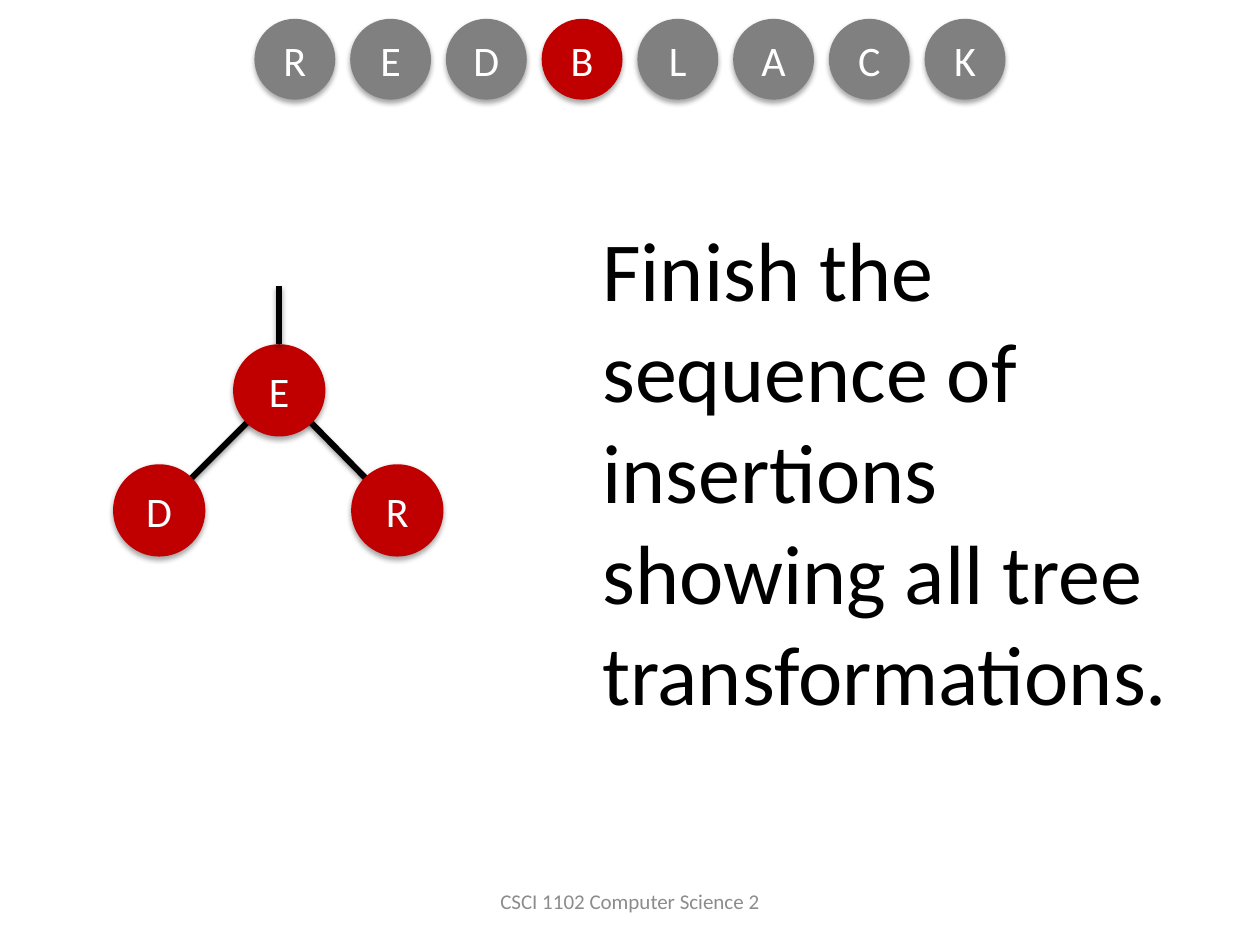
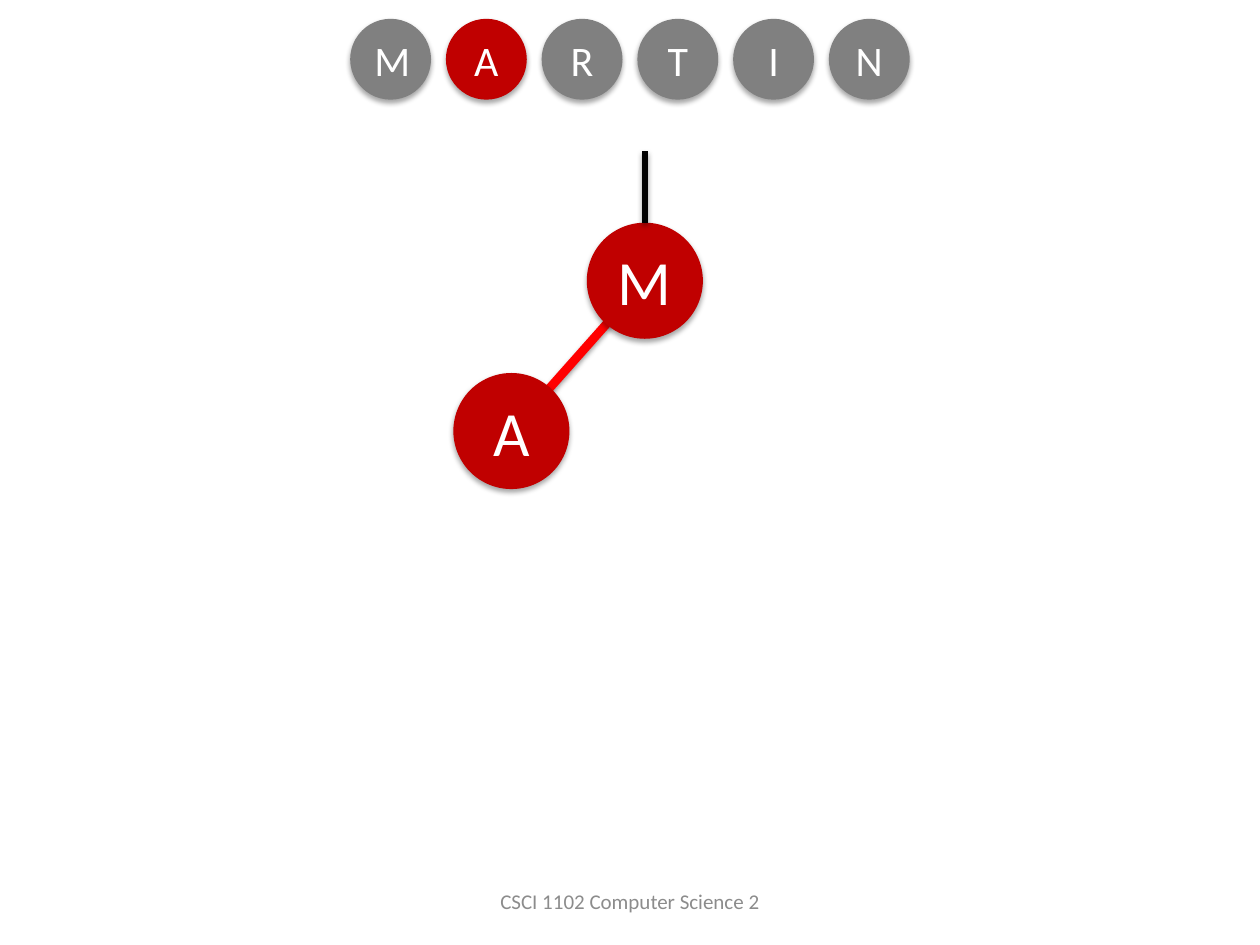
from lxml import etree
from pptx import Presentation
from pptx.dml.color import RGBColor
from pptx.enum.shapes import MSO_CONNECTOR, MSO_SHAPE
from pptx.enum.text import MSO_ANCHOR, PP_ALIGN
from pptx.oxml import parse_xml
from pptx.oxml.ns import nsdecls
from pptx.util import Cm, Pt

RED = RGBColor(0xC0, 0x00, 0x00)
BRIGHT_RED = RGBColor(0xFF, 0x00, 0x00)
GREY = RGBColor(0x80, 0x80, 0x80)
FOOTER_GREY = RGBColor(0x8C, 0x8C, 0x8C)
BLACK = RGBColor(0x00, 0x00, 0x00)
WHITE = RGBColor(0xFF, 0xFF, 0xFF)

WIDTH = 25.4
LETTER_D, LETTER_PITCH, LETTER_TOP = 1.63, 1.93, 0.38

# Node centres, and edges as (parent, child), in cm
SLIDES = [
    {"word": "REDBLACK", "current": 3, "root": "E", "stem_top": 5.77,
     "nodes": {"E": (5.63, 7.87), "D": (3.21, 10.29), "R": (8.01, 10.29)},
     "edges": ["ER", "ED"], "edge_color": BLACK, "edge_width": 3.5,
     "diameter": 1.86, "size": 24,
     "task": "Finish the sequence of insertions showing all tree transformations."},
    {"word": "MARTIN", "current": 1, "root": "M", "stem_top": 3.05,
     "nodes": {"M": (13, 5.66), "A": (10.31, 8.69)},
     "edges": ["MA"], "edge_color": BRIGHT_RED, "edge_width": 5,
     "diameter": 2.34, "size": 36, "task": None},
]


def add_text(sp, text, size, color, align, anchor):
    tf = sp.text_frame
    tf.word_wrap = True
    tf.vertical_anchor = anchor
    p = tf.paragraphs[0]
    p.alignment = align
    r = p.add_run()
    r.text = text
    for name, value in {"name": "Calibri", "size": Pt(size)}.items():
        setattr(r.font, name, value)
    r.font.color.rgb = color


def add_shadow(sp, distance, alpha):
    sp_pr = sp._element.spPr
    sp_pr.append(parse_xml(
        f'<a:effectLst {nsdecls("a")}><a:outerShdw blurRad="{Pt(3.1)}" '
        f'dist="{Pt(distance)}" dir="5400000" rotWithShape="0">'
        f'<a:srgbClr val="000000"><a:alpha val="{alpha * 1000}"/></a:srgbClr>'
        '</a:outerShdw></a:effectLst>'))


prs = Presentation()
prs.slide_width, prs.slide_height = Cm(WIDTH), Cm(19.05)

for spec_data in SLIDES:
    s = prs.slides.add_slide(prs.slide_layouts[6])
    nodes, d = spec_data["nodes"], spec_data["diameter"]
    root = spec_data["root"]
    word = spec_data["word"]

    # Footer
    sp = s.shapes.add_textbox(Cm(8.68), Cm(17.66), Cm(8.04), Cm(1.01))
    add_text(sp, "CSCI 1102 Computer Science 2", 12, FOOTER_GREY,
             PP_ALIGN.CENTER, MSO_ANCHOR.MIDDLE)

    # Tree edges, from centre to centre behind the nodes
    tree = s.shapes.add_group_shape()
    lines = []
    for parent, child in spec_data["edges"]:
        ends = [Cm(v) for v in nodes[parent] + nodes[child]]
        line = tree.shapes.add_connector(MSO_CONNECTOR.STRAIGHT, *ends)
        lines.append((line, spec_data["edge_color"], spec_data["edge_width"]))

    # Circles: tree nodes, then the row of letters to insert
    circles = [(tree, letter, x - d / 2, y - d / 2, d, spec_data["size"], RED)
               for letter, (x, y) in nodes.items()]
    row = s.shapes.add_group_shape()
    left = (WIDTH - (len(word) - 1) * LETTER_PITCH - LETTER_D) / 2
    for i, letter in enumerate(word):
        color = RED if i == spec_data["current"] else GREY
        circles.append((row, letter, left + i * LETTER_PITCH, LETTER_TOP,
                        LETTER_D, 24, color))

    for group, letter, x, y, size, font_size, color in circles:
        sp = group.shapes.add_shape(MSO_SHAPE.OVAL, Cm(x), Cm(y), Cm(size), Cm(size))
        sp.fill.solid()
        sp.fill.fore_color.rgb = color
        sp.line.fill.background()
        add_shadow(sp, 1.8, 35)
        add_text(sp, letter, font_size, WHITE, PP_ALIGN.CENTER, MSO_ANCHOR.MIDDLE)
        if group is tree and letter == root:
            # Stem above the root
            x, y = nodes[root]
            stem = tree.shapes.add_connector(
                MSO_CONNECTOR.STRAIGHT, Cm(x), Cm(spec_data["stem_top"]),
                Cm(x), Cm(y - d / 2))
            stem.end_connect(sp, 0)
            lines.append((stem, BLACK, 3.5))

    for line, color, width in lines:
        line.line.color.rgb = color
        line.line.width = Pt(width)
        add_shadow(line, 1.6, 38)

    # Task
    if spec_data["task"]:
        sp = s.shapes.add_textbox(Cm(11.89), Cm(4.27), Cm(12.4), Cm(10.52))
        add_text(sp, spec_data["task"], 48, BLACK, PP_ALIGN.LEFT, MSO_ANCHOR.TOP)

prs.save("out.pptx")
